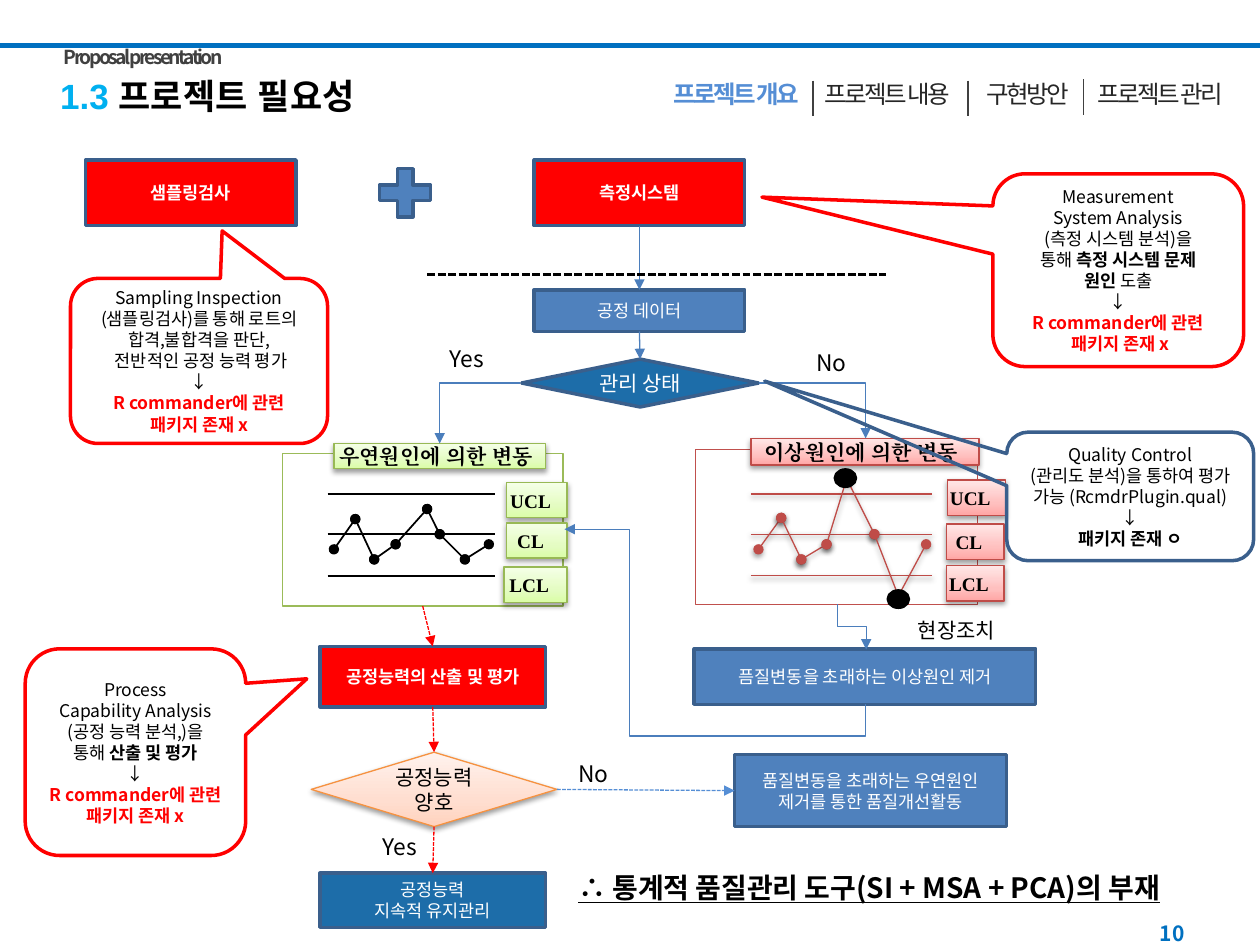
import copy
from dataclasses import dataclass
from itertools import pairwise

import pptx
import pptx.util
from lxml import etree
from pptx.dml.color import RGBColor
from pptx.enum.dml import MSO_LINE
from pptx.enum.shapes import MSO_CONNECTOR, MSO_SHAPE
from pptx.enum.text import MSO_ANCHOR, PP_ALIGN
from pptx.oxml.ns import qn
from pptx.util import Inches, Pt

BLACK = RGBColor(0x00, 0x00, 0x00)
WHITE = RGBColor(0xFF, 0xFF, 0xFF)
RED = RGBColor(0xFF, 0x00, 0x00)
BLUE = RGBColor(0x4F, 0x81, 0xBD)
DEEP_BLUE = RGBColor(0x1D, 0x6D, 0xA9)
NAVY = RGBColor(0x3A, 0x5F, 0x8C)
FLOW_BLUE = RGBColor(0x4B, 0x7E, 0xBC)
SOFT_BLUE = RGBColor(0x55, 0x8E, 0xD5)
ACCENT = RGBColor(0x00, 0x70, 0xC0)
SKY = RGBColor(0x00, 0xB0, 0xF0)
GREY = RGBColor(0x40, 0x40, 0x40)
INK = RGBColor(0x26, 0x26, 0x26)
ORANGE = RGBColor(0xF6, 0x92, 0x40)
GREEN_FRAME = RGBColor(0x9B, 0xBB, 0x59)
GREEN_EDGE = RGBColor(0x98, 0xB9, 0x55)
RED_FRAME = RGBColor(0xC0, 0x50, 0x4D)
RED_EDGE = RGBColor(0xBF, 0x4C, 0x48)
GREENS = [RGBColor.from_string(c) for c in ("DAFDA7", "E4FCC2", "F5FFE7")]
PINKS = [RGBColor.from_string(c) for c in ("FFA6A5", "FFC0BF", "FFE7E7")]
PEACHES = [RGBColor.from_string(c) for c in ("FFD2BD", "FFDED0", "FFF2ED")]
SANS, SERIF = "Noto Sans CJK KR", "Times New Roman"
LIMITS = (3.92, 4.24, 4.57)
TOP, LEFT, BOTTOM, RIGHT = range(4)


@dataclass
class SlideBuilder:
    slide: object
    font: str = SANS

    def fill_text(self, frame, paragraphs, size, color=BLACK, bold=False, font=None,
                  align=PP_ALIGN.CENTER, spacing=None, underline=None):
        """Fill a frame; a paragraph is a string or a list of (text, color, bold)."""
        for index, content in enumerate(paragraphs):
            runs = [(content, color, bold)] if isinstance(content, str) else content
            paragraph = frame.paragraphs[0] if index == 0 else frame.add_paragraph()
            paragraph.alignment = align
            base = paragraph.font
            base.size, base.underline = Pt(size), underline
            agree = len({run[1:] for run in runs}) == 1
            if agree:
                base.color.rgb, base.bold = runs[0][1:]
            base.name = font or self.font
            properties = paragraph._p.pPr.find(qn("a:defRPr"))
            etree.SubElement(properties, qn("a:ea"), typeface=font or self.font)
            if spacing:
                properties.set("spc", str(int(spacing * 100)))
            for text, run_color, run_bold in runs:
                run = paragraph.add_run()
                run.text = text
                if not agree:
                    run.font.color.rgb, run.font.bold = run_color, run_bold

    def text(self, box, paragraphs, size, wrap=True, anchor=MSO_ANCHOR.TOP,
             align=PP_ALIGN.LEFT, **style):
        frame = self.slide.shapes.add_textbox(*map(Inches, box)).text_frame
        frame.word_wrap, frame.vertical_anchor = wrap, anchor
        self.fill_text(frame, paragraphs, size, align=align, **style)

    def add_shadow(self, element):
        effects = element.spPr.find(qn("a:effectLst"))
        shadow = etree.SubElement(effects, qn("a:outerShdw"), blurRad=str(Pt(3.1)),
                                  dist=str(Pt(1.6)), dir="5400000", rotWithShape="0")
        tint = etree.SubElement(shadow, qn("a:srgbClr"), val="000000")
        etree.SubElement(tint, qn("a:alpha"), val="38000")

    def shape(self, kind, box, paragraphs=(), fill=None, line=NAVY, width=2, size=10,
              adjustments=(), **style):
        """Add a preset shape; a list as fill makes a shadowed gradient."""
        shape = self.slide.shapes.add_shape(kind, *map(Inches, box))
        shape.shadow.inherit = False
        for index, value in enumerate(adjustments):
            shape.adjustments[index] = value
        if fill is None:
            shape.fill.background()
        elif isinstance(fill, list):
            shape.fill.gradient()
            shape.fill.gradient_angle = 90
            stops = shape._element.spPr.find(".//" + qn("a:gsLst"))
            stops.append(copy.deepcopy(stops[-1]))
            for stop, place, color in zip(shape.fill.gradient_stops, (0, 0.35, 1), fill):
                stop.position, stop.color.rgb = place, color
            self.add_shadow(shape._element)
        else:
            shape.fill.solid()
            shape.fill.fore_color.rgb = fill
        shape.line.color.rgb, shape.line.width = line, Pt(width)
        shape.text_frame.word_wrap = True
        shape.text_frame.vertical_anchor = MSO_ANCHOR.MIDDLE
        self.fill_text(shape.text_frame, paragraphs, size, **style)
        return shape

    def process(self, box, paragraphs, fill=BLUE):
        return self.shape(MSO_SHAPE.FLOWCHART_PROCESS, box, paragraphs, fill,
                          color=WHITE, bold=fill == RED)

    def callout(self, box, pointer, paragraphs, line=RED):
        self.shape(MSO_SHAPE.ROUNDED_RECTANGULAR_CALLOUT, box, paragraphs, line=line,
                   adjustments=(*pointer, 0.167))

    def label(self, box, caption, fill, line, size=11, anchor=MSO_ANCHOR.TOP, wrap=True):
        frame = self.shape(MSO_SHAPE.RECTANGLE, box, [caption], fill, line, 0.75, size,
                           bold=True, font=SERIF).text_frame
        frame.margin_left, frame.vertical_anchor, frame.word_wrap = 0, anchor, wrap

    def line(self, start, end, color, width=0.75, dashed=False, head=None, tail=None,
             shadow=False, kind=MSO_CONNECTOR.STRAIGHT):
        line = self.slide.shapes.add_connector(kind, *map(Inches, (*start, *end)))
        line.line.color.rgb, line.line.width = color, Pt(width)
        if dashed:
            line.line.dash_style = MSO_LINE.SQUARE_DOT
        properties = line._element.spPr
        for tag, ending in (("a:headEnd", head), ("a:tailEnd", tail)):
            if ending:
                etree.SubElement(properties.find(qn("a:ln")), qn(tag), type=ending)
        etree.SubElement(properties, qn("a:effectLst"))
        if shadow:
            self.add_shadow(line._element)
        return line

    def join(self, source, source_side, target, target_side, color, dashed=False):
        arrow = self.line((0, 0), (1, 1), color, dashed=dashed, tail="triangle")
        arrow.begin_connect(source, source_side)
        arrow.end_connect(target, target_side)

    def elbow(self, box, preset, rotation=0, flip=None, adjustments=()):
        """Add a bent arrow whose box is its frame before rotation."""
        left, top, width, height = box
        arrow = self.line((left, top), (left + width, top + height), FLOW_BLUE,
                          tail="triangle", kind=MSO_CONNECTOR.ELBOW)
        frame = arrow._element.spPr.find(qn("a:xfrm"))
        frame.set("rot", str(rotation * 60000))
        if flip:
            frame.set(flip, "1")
        geometry = arrow._element.spPr.find(qn("a:prstGeom"))
        geometry.set("prst", preset)
        guides = geometry.find(qn("a:avLst"))
        for number, value in enumerate(adjustments, 1):
            etree.SubElement(guides, qn("a:gd"), name=f"adj{number}",
                             fmla=f"val {round(value * 100000)}")

    def control_chart(self, frame_box, span, points, labels, title_box, title, fill,
                      frame_color, edge, line_color, width, shadow):
        frame = self.shape(MSO_SHAPE.RECTANGLE, frame_box, line=frame_color, width=0.75)
        for limit in LIMITS:
            self.line((span[0], limit), (span[1], limit), line_color, width, shadow=shadow)
        for start, end in pairwise(points):
            self.line(start, end, line_color, width, head="oval", tail="oval", shadow=shadow)
        for caption, box in zip(("UCL", "CL", "LCL"), labels):
            self.label(box, caption, fill, edge)
        self.label(title_box, title, fill, edge, 12, MSO_ANCHOR.MIDDLE, False)
        return frame


def add_header(page):
    page.line((-0.02, 0.36), (10.02, 0.36), ACCENT, 3)
    page.text((7.17, 7.21, 2.33, 0.4), ["10"], 12, color=ACCENT, bold=True,
              anchor=MSO_ANCHOR.MIDDLE, align=PP_ALIGN.RIGHT)
    page.text((0.38, 0.54, 4.7, 0.44),
              [[("1.3 ", SKY, True), ("프로젝트 필요성", BLACK, True)]], 20, font="Arial")
    for left, width, caption, active in (
            (5, 1.69, "프로젝트 개요", True), (6.36, 1.34, " 프로젝트 내용", False),
            (7.62, 1.07, "구현방안", False), (8.56, 1.3, "프로젝트 관리", False)):
        page.text((left, 0.58, width, 0.39), [caption], 14, wrap=active, bold=active,
                  color=SOFT_BLUE if active else INK, align=PP_ALIGN.CENTER, spacing=-1.5)
    for x, top in ((6.45, 0.64), (7.68, 0.64), (8.6, 0.63)):
        page.line((x, top), (x, top + 0.28), GREY, 1)
    page.text((0.41, 0.31, 2.44, 0.29), ["Proposal presentation"], 11, color=GREY,
              bold=True, align=PP_ALIGN.JUSTIFY, spacing=-1.5)


def add_flow(page):
    process_data = page.process((4.24, 2.3, 1.67, 0.33), ["공정 데이터"])
    evaluation = page.process((2.54, 5.13, 1.79, 0.48), ["공정능력의 산출 및 평가"], RED)
    page.process((5.51, 5.15, 2.71, 0.44), ["픔질변동을 초래하는 이상원인 제거"])
    improvement = page.process((5.83, 5.99, 2.16, 0.57),
                               ["품질변동을 초래하는 우연원인 제거를 통한 품질개선활동"])
    upkeep = page.process((2.54, 6.93, 1.79, 0.43), ["공정능력", "지속적 유지관리"], DEEP_BLUE)
    common_cause = page.control_chart(
        (2.24, 3.6, 2.23, 1.21), (2.6, 3.93),
        [(2.65, 4.36), (2.82, 4.12), (2.97, 4.44), (3.14, 4.32),
         (3.39, 4.04), (3.49, 4.24), (3.69, 4.44), (3.88, 4.32)],
        [(4.02, 3.83, 0.48, 0.28), (4.02, 4.15, 0.48, 0.28), (4, 4.5, 0.5, 0.28)],
        (2.65, 3.52, 1.68, 0.2), " 우연원인에 의한 변동",
        GREENS, GREEN_FRAME, GREEN_EDGE, BLACK, 1, False)
    page.control_chart(
        (5.52, 3.57, 2.24, 1.23), (5.96, 7.4),
        [(6.02, 4.36), (6.2, 4.11), (6.36, 4.44), (6.56, 4.32),
         (6.72, 3.8), (6.94, 4.24), (7.13, 4.73), (7.35, 4.32)],
        [(7.52, 3.81, 0.46, 0.28), (7.51, 4.16, 0.46, 0.28), (7.51, 4.49, 0.46, 0.28)],
        (5.96, 3.48, 1.81, 0.21), " 이상원인에 의한 변동",
        PINKS, RED_FRAME, RED_EDGE, RED_EDGE, 0.75, True)
    capable = page.shape(MSO_SHAPE.FLOWCHART_DECISION, (2.47, 5.97, 1.95, 0.59),
                         ["공정능력", "양호"], PEACHES, ORANGE, 0.75, 12)
    in_control = page.shape(MSO_SHAPE.FLOWCHART_DECISION, (4.14, 2.85, 1.88, 0.38),
                            ["관리 상태"], DEEP_BLUE, size=12, color=WHITE)
    measurement = page.process((4.24, 1.27, 1.67, 0.52), ["측정시스템"], RED)
    page.process((0.68, 1.27, 1.67, 0.52), ["샘플링검사"], RED)
    page.elbow((3.49, 3.04, 0.64, 0.48), "bentConnector2", 180, "flipV")
    page.elbow((6.02, 3.04, 0.85, 0.44), "bentConnector2")
    page.elbow((6.58, 4.86, 0.36, 0.23), "bentConnector3", 270, "flipH")
    page.elbow((4.98, 3.7, 1.39, 2.39), "bentConnector4", 90, "flipH", (-0.18, 0.783))
    for source, target in ((common_cause, evaluation), (evaluation, capable), (capable, upkeep)):
        page.join(source, BOTTOM, target, TOP, RED, dashed=True)
    page.join(capable, RIGHT, improvement, LEFT, SOFT_BLUE, dashed=True)
    for source, target in ((measurement, process_data), (process_data, in_control)):
        page.join(source, BOTTOM, target, TOP, FLOW_BLUE)
    page.line((3.39, 2.18), (7.03, 2.18), BLACK, 1.5, dashed=True)
    for left, top, answer in ((3.47, 2.69, "Yes"), (6.38, 2.72, "No"),
                              (2.94, 6.56, "Yes"), (4.49, 5.98, "No")):
        page.text((left, top, 0.52, 0.29), [answer], 13)
    page.text((7.15, 4.85, 1.08, 0.3), [" 현장조치"], 12)


def add_callouts(page):
    page.callout((7.99, 3.43, 1.96, 1.02), (-1.48, -0.897), [
        "Quality Control", "(관리도 분석)을 통하여 평가 가능 (RcmdrPlugin.qual)", "↓",
        [("패키지 존재 ㅇ", BLACK, True)]], NAVY)
    page.callout((0.2, 5.15, 1.75, 1.64), (0.777, -0.355), [
        "Process", "Capability Analysis", "(공정 능력 분석,)을",
        [("통해 ", BLACK, False), ("산출 및 평가", BLACK, True)], "↓",
        [("R commander에 관련 패키지 존재 x", RED, True)]])
    page.callout((7.88, 1.38, 1.99, 1.53), (-1.421, -0.379), [
        "Measurement", "System Analysis", "(측정 시스템 분석)을",
        [("통해 ", BLACK, False), ("측정 시스템 문제", BLACK, True)],
        [("원인", BLACK, True), (" 도출", BLACK, False)], "↓",
        [("R commander에 관련", RED, True)], [(" 패키지 존재 x", RED, True)]])
    page.callout((0.56, 2.21, 2.04, 1.31), (0.09, -0.788), [
        "Sampling Inspection", "(샘플링검사)를 통해 로트의 합격,불합격을 판단,",
        " 전반적인 공정 능력 평가", "↓",
        [("R commander에 관련", RED, True)], [("패키지 존재 x", RED, True)]])


def main():
    deck = pptx.Presentation()
    deck.slide_width, deck.slide_height = Inches(10), Inches(7.5)
    page = SlideBuilder(deck.slides.add_slide(deck.slide_layouts[6]))
    add_header(page)
    add_flow(page)
    add_callouts(page)
    page.text((4.49, 6.86, 5.28, 0.37), ["∴ 통계적 품질관리 도구(SI + MSA + PCA)의 부재"],
              16, bold=True, underline=True)
    for left, top in ((6.63, 3.73), (7.05, 4.69)):
        page.shape(MSO_SHAPE.OVAL, (left, top, 0.16, 0.13), fill=BLACK, line=BLACK)
    page.shape(MSO_SHAPE.MATH_PLUS, (2.94, 1.27, 0.55, 0.52), fill=BLUE)
    deck.save("out.pptx")


if __name__ == "__main__":
    main()
